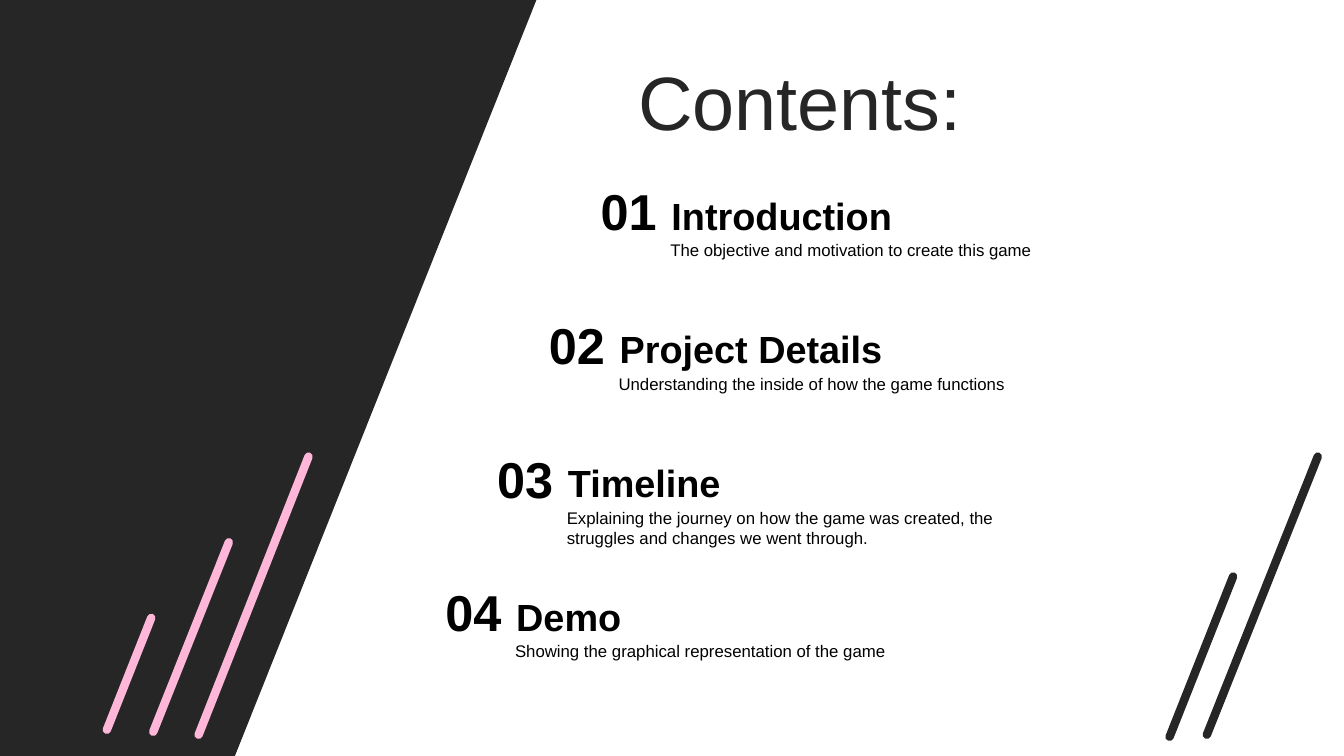
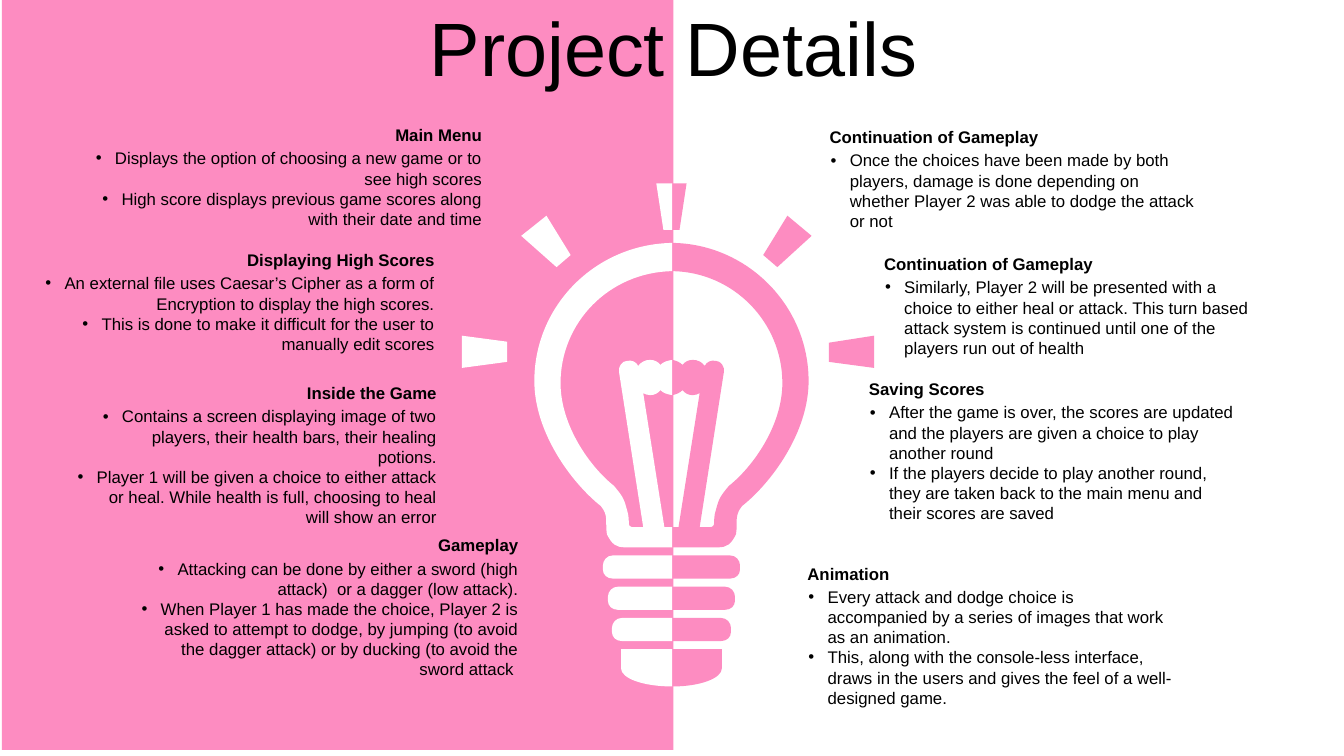
from pptx import Presentation
from pptx.dml.color import RGBColor
from pptx.enum.shapes import MSO_CONNECTOR, MSO_SHAPE
from pptx.enum.text import MSO_ANCHOR, PP_ALIGN
from pptx.oxml.ns import qn
from pptx.util import Inches, Pt
from lxml.etree import SubElement

rgb = RGBColor.from_string
FONT = "Arial"
BLACK, DARK, WHITE = "000000", "262626", "FFFFFF"
PINK, PALE_PINK = "FD8CC1", "FEB7D8"
LEFT, CENTER, RIGHT = PP_ALIGN.LEFT, PP_ALIGN.CENTER, PP_ALIGN.RIGHT
SEAM = 6.67  # where the two halves of the bulb meet


def write(sp, box, lines, size, color=BLACK, bold=False, align=LEFT,
          anchor=MSO_ANCHOR.TOP, bullets=False):
    """Place a text shape at box (left, top, width, height) and fill it."""
    sp.left, sp.top, sp.width, sp.height = [Inches(v) for v in box]
    tf = sp.text_frame
    tf.word_wrap = True
    tf.vertical_anchor = anchor
    tf.text = "\n".join(lines)
    for p in tf.paragraphs:
        p.alignment = align
        font = p.runs[0].font
        font.name, font.size, font.bold = FONT, Pt(size), bold
        font.color.rgb = rgb(color)
        if bullets:
            pPr = p._p.get_or_add_pPr()
            pPr.set("marL", str(Inches(0.19)))
            pPr.set("indent", str(-Inches(0.19)))
            SubElement(pPr, qn("a:buFont")).set("typeface", FONT)
            SubElement(pPr, qn("a:buChar")).set("char", "•")


def draw(s, outlines, color, axis=None):
    """Draw closed outlines as one shape, mirrored about x = axis if given.

    Steps are (x, y) for a line, or six numbers for a cubic curve.
    Points on the seam stay there when mirrored.
    """
    builder, sizes = None, []
    for outline in outlines:
        points = []
        for step in outline:
            points += zip(step[::2], step[1::2])
        if axis:
            points = [(x if x == SEAM else 2 * axis - x, y) for x, y in points]
        points = [(Inches(x), Inches(y)) for x, y in points]
        if builder is None:
            builder = s.shapes.build_freeform(*points[0], scale=1.0)
        else:
            builder.move_to(*points[0])
        builder.add_line_segments(points[1:], close=True)
        sizes += [len(step) // 2 for step in outline[1:]]
    sp = builder.convert_to_shape()
    sp.shadow.inherit = False
    sp.fill.solid()
    sp.fill.fore_color.rgb = rgb(color)
    sp.line.fill.background()
    lines = iter(list(sp._element.iter(qn("a:lnTo"))))
    for size in sizes:
        first, *others = [next(lines) for _ in range(size)]
        if others:
            first.tag = qn("a:cubicBezTo")
        for other in others:
            first.append(other[0])
            other.getparent().remove(other)


prs = Presentation()
prs.slide_width, prs.slide_height = Inches(13.33), Inches(7.5)
title_only = prs.slide_layouts[5]

# Contents
s = prs.slides.add_slide(title_only)
draw(s, [[(0, 0), (5.32, 0), (2.33, 7.5), (0, 7.5)]], DARK)
write(s.shapes.title, (6.23, 0.49, 6.77, 1.01), ["Contents:"], 54, DARK,
      anchor=MSO_ANCHOR.MIDDLE)

chapters = [
    ("Introduction", "The objective and motivation to create this game"),
    ("Project Details", "Understanding the inside of how the game functions"),
    ("Timeline", "Explaining the journey on how the game was created, the "
                 "struggles and changes we went through."),
    ("Demo", "Showing the graphical representation of the game"),
]
STEP_X, STEP_Y = (4.17 - 5.71) / 3, (5.72 - 1.74) / 3
for i, (name, summary) in enumerate(chapters):
    x, y = 5.71 + STEP_X * i, 1.74 + STEP_Y * i
    for box, line, size, bold, align in [
        ((x + 0.84, y + 0.59, 4.93, 0.3), summary, 12, False, LEFT),
        ((x + 0.83, y + 0.12, 4.93, 0.56), name, 27, True, LEFT),
        ((x, y, 1.05, 0.71), f"{i + 1:02}", 36, True, CENTER),
    ]:
        sp = s.shapes.add_textbox(0, 0, 0, 0)
        write(sp, box, [line], size, bold=bold, align=align)
        if bold:
            sp.text_frame.margin_left = sp.text_frame.margin_right = Inches(0.12)

stripes = [
    (13.07, 4.53, 11.97, 7.29, DARK),
    (12.23, 5.72, 11.6, 7.31, DARK),
    (3.06, 4.53, 1.97, 7.29, PALE_PINK),
    (2.27, 5.38, 1.52, 7.26, PALE_PINK),
    (1.5, 6.13, 1.06, 7.24, PALE_PINK),
]
for *ends, color in stripes:
    c = s.shapes.add_connector(MSO_CONNECTOR.STRAIGHT, *[Inches(v) for v in ends])
    c.line.color.rgb = rgb(color)
    c.line.width = Pt(6)
    c.line._get_or_add_ln().set("cap", "rnd")
    SubElement(c._element.spPr, qn("a:effectLst"))

# Project Details
s = prs.slides.add_slide(title_only)
panel = s.shapes.add_shape(MSO_SHAPE.RECTANGLE, Inches(0.02), Inches(-0.06),
                           Inches(6.66), Inches(7.5))
panel.shadow.inherit = False
panel.fill.solid()
panel.fill.fore_color.rgb = rgb(PINK)
panel.line.fill.background()
s.shapes._spTree.insert(2, panel._element)  # behind the title
write(s.shapes.title, (0.35, 0.06, 12.66, 0.79), ["Project Details"], 54,
      align=CENTER, anchor=MSO_ANCHOR.MIDDLE)

# Right half of the bulb; the left half is its mirror image
glass = [
    (SEAM, 2.41), (7.41, 2.42, 8.02, 3.03, 8.02, 3.78),
    (8.02, 4.29, 7.65, 4.79, 7.36, 5.02), (7.28, 5.12, 7.32, 5.17, 7.3, 5.3),
    (7.25, 5.4, 7.21, 5.43, 7.12, 5.43), (SEAM, 5.43), (SEAM, 5.23), (6.73, 5.23),
    (6.94, 3.9), (6.92, 3.91, 6.9, 3.92, 6.87, 3.92),
    (6.83, 3.92, 6.79, 3.9, 6.77, 3.87), (6.74, 3.9, 6.71, 3.91, SEAM, 3.92),
    (SEAM, 3.57), (6.71, 3.58, 6.74, 3.59, 6.77, 3.62),
    (6.79, 3.59, 6.83, 3.57, 6.87, 3.57), (6.92, 3.57, 6.96, 3.59, 6.99, 3.63),
    (7.01, 3.59, 7.05, 3.57, 7.1, 3.58), (7.15, 3.58, 7.19, 3.64, 7.18, 3.69),
    (6.94, 5.23), (7.01, 5.23), (7.11, 5.23, 7.07, 5.22, 7.09, 5.1),
    (7.13, 4.95, 7.13, 4.94, 7.23, 4.82), (7.47, 4.63, 7.76, 4.22, 7.76, 3.8),
    (7.76, 3.2, 7.28, 2.7, SEAM, 2.69),
]
top_ray = [(SEAM, 1.82), (6.81, 1.82), (6.74, 2.28), (SEAM, 2.28)]
foot = [(SEAM, 6.44), (7.16, 6.44), (7.16, 6.63), (7.16, 6.73, 6.94, 6.81, SEAM, 6.81)]
bulb = [glass, top_ray, foot]
for y, x in [(5.51, 7.34), (5.82, 7.29), (6.13, 7.25)]:
    bulb.append([
        (SEAM, y), (x - 0.1, y), (x - 0.04, y, x, y + 0.05, x, y + 0.1),
        (x, y + 0.14), (x, y + 0.19, x - 0.04, y + 0.23, x - 0.1, y + 0.23),
        (SEAM, y + 0.23),
    ])
left_rays = [
    [(4.58, 3.33), (5.03, 3.39), (5.03, 3.59), (4.58, 3.65)],
    [(5.42, 2.14), (5.66, 2.53), (5.52, 2.65), (5.17, 2.34)],
]
right_rays = [
    [(8.67, 3.33), (8.67, 3.65), (8.22, 3.59), (8.22, 3.4)],
    [(7.81, 2.14), (8.05, 2.34), (7.71, 2.65), (7.57, 2.53)],
]
draw(s, bulb, WHITE, axis=6.66)
draw(s, left_rays, WHITE)
draw(s, bulb + right_rays, PINK)

notes = [
    (8.13, 1.21, 3.86, 1.11, LEFT, "Continuation of Gameplay", [
        "Once the choices have been made by both players, damage is done depending on "
        "whether Player 2 was able to dodge the attack or not"]),
    (8.67, 2.47, 3.85, 0.91, LEFT, "Continuation of Gameplay", [
        "Similarly, Player 2 will be presented with a choice to either heal or attack. "
        "This turn based attack system is continued until one of the players run out "
        "of health"]),
    (8.52, 3.71, 3.84, 1.31, LEFT, "Saving Scores", [
        "After the game is over, the scores are updated and the players are given a "
        "choice to play another round",
        "If the players decide to play another round, they are taken back to the main "
        "menu and their scores are saved"]),
    (7.91, 5.54, 3.86, 1.31, LEFT, "Animation", [
        "Every attack and dodge choice is accompanied by a series of images that work "
        "as an animation.",
        "This, along with the console-less interface, draws in the users and gives the "
        "feel of a well-designed game."]),
    (0.81, 1.19, 4.07, 0.91, RIGHT, "Main Menu", [
        "Displays the option of choosing a new game or to see high scores",
        "High score displays previous game scores along with their date and time"]),
    (0.34, 2.43, 4.07, 0.91, RIGHT, "Displaying High Scores", [
        "An external file uses Caesar’s Cipher as a form of Encryption to display the "
        "high scores.",
        "This is done to make it difficult for the user to manually edit scores"]),
    (0.59, 3.75, 3.84, 1.11, RIGHT, "Inside the Game", [
        "Contains a screen displaying image of two players, their health bars, their "
        "healing potions.",
        "Player 1 will be given a choice to either attack or heal. While health is full, "
        "choosing to heal will show an error"]),
    (1.18, 5.26, 4.06, 1.31, RIGHT, "Gameplay", [
        "Attacking can be done by either a sword (high attack)  or a dagger (low attack).",
        "When Player 1 has made the choice, Player 2 is asked to attempt to dodge, by "
        "jumping (to avoid the dagger attack) or by ducking (to avoid the sword attack "]),
]
for x, y, w, h, align, heading, items in notes:
    write(s.shapes.add_textbox(0, 0, 0, 0), (x, y, w, 0.3), [heading], 12,
          bold=True, align=align, anchor=MSO_ANCHOR.MIDDLE)
    write(s.shapes.add_textbox(0, 0, 0, 0), (x + 0.01, y + 0.23, w - 0.01, h), items, 12,
          align=align, bullets=True)

prs.save("out.pptx")
